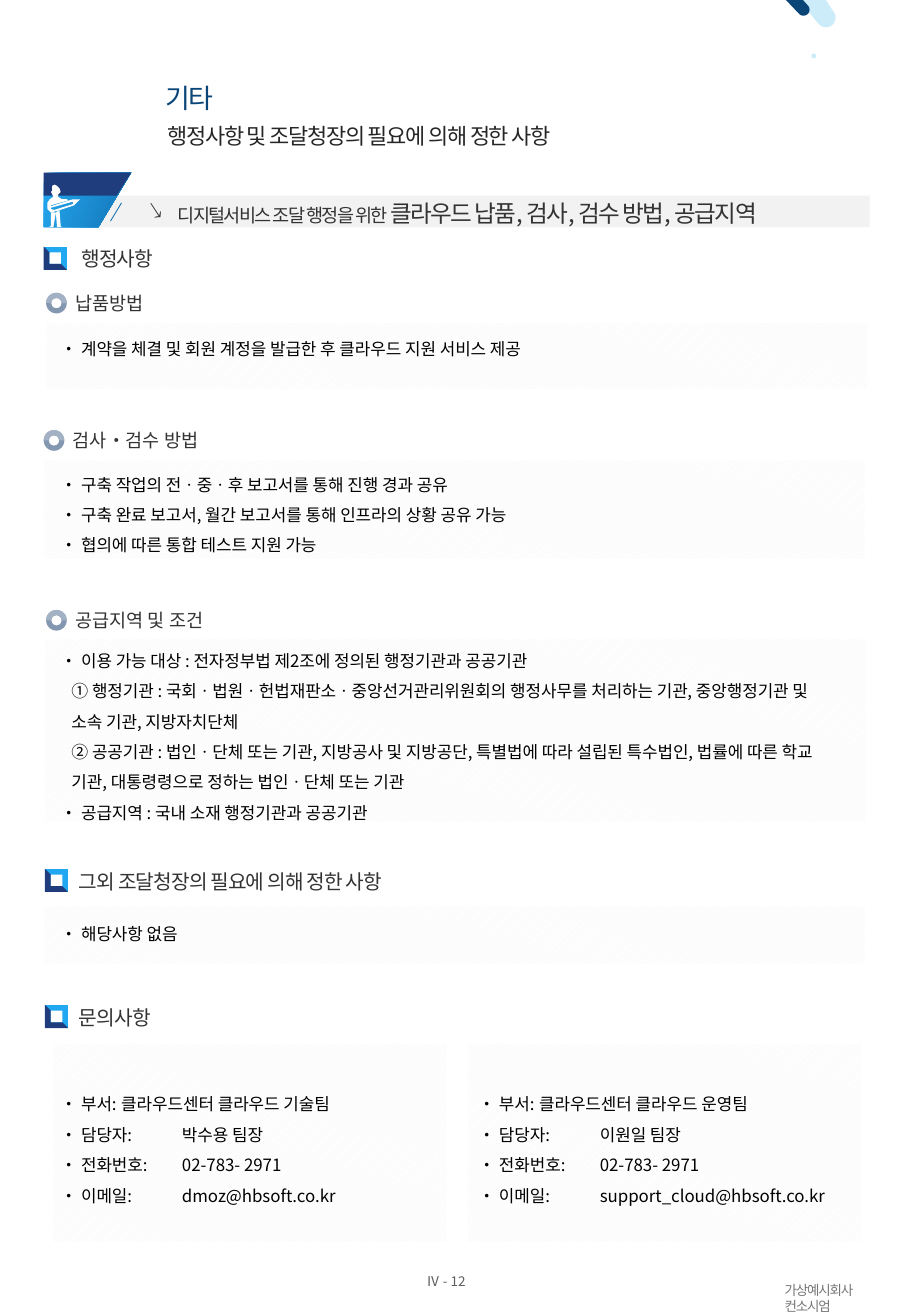
"""Build the administrative matters page of a cloud service proposal."""
import math

import lxml.etree
import pptx
import pptx.dml.color
import pptx.enum.dml
import pptx.enum.shapes
import pptx.enum.text
import pptx.oxml.ns
import pptx.util

Inches = pptx.util.Inches
SHAPE = pptx.enum.shapes.MSO_SHAPE
ANCHOR = pptx.enum.text.MSO_ANCHOR
FONT = "Noto Sans CJK KR"
SKY, NAVY, BLUE, DEEP = "22A8F0", "1F3D7D", "1573B5", "0A4578"
PALE, GREY, WHITE, INK = "CCECF9", "F2F2F2", "FFFFFF", "333333"

TITLE = "기타"
SUBTITLE = "행정사항 및 조달청장의 필요에 의해 정한 사항"
BANNER = [(" ", 14), ("디지털서비스 조달 행정을 위한 ", 11),
          ("클라우드 납품, 검사, 검수 방법, 공급지역", 14)]
CONSORTIUM = ["가상예시회사", "컨소시엄"]
PAGE = "Ⅳ - 12"

SECTIONS = [
    (0.36, 2.03, 0.67, 0.75, "행정사항"),
    (0.37, 7.15, 0.65, 2.94, "그외 조달청장의 필요에 의해 정한 사항"),
    (0.37, 8.27, 0.65, 0.75, "문의사항"),
]
TOPICS = [
    (0.38, 2.41, 0.72, "납품방법"),
    (0.36, 3.54, 1.16, "검사•검수 방법"),
    (0.38, 5.02, 1.29, "공급지역 및 조건"),
]
WIDE, HALF = 6.76, 3.24
PANELS = [
    ((0.38, 2.66, WIDE, 0.54), (0.4, 2.74, 6.54), 1,
     ["• 계약을 체결 및 회원 계정을 발급한 후 클라우드 지원 서비스 제공"]),
    ((0.36, 3.79, WIDE, 0.81), (0.4, 3.77, 6.54), 1.5,
     ["• 구축 작업의 전ㆍ중ㆍ후 보고서를 통해 진행 경과 공유",
      "• 구축 완료 보고서, 월간 보고서를 통해 인프라의 상황 공유 가능",
      "• 협의에 따른 통합 테스트 지원 가능"]),
    ((0.37, 5.26, WIDE, 1.5), (0.4, 5.22, 6.54), 1.5,
     ["• 이용 가능 대상 : 전자정부법 제2조에 정의된 행정기관과 공공기관",
      "① 행정기관 : 국회ㆍ법원ㆍ헌법재판소ㆍ중앙선거관리위원회의 행정사무를 "
      "처리하는 기관, 중앙행정기관 및 소속 기관, 지방자치단체",
      "② 공공기관 : 법인ㆍ단체 또는 기관, 지방공사 및 지방공단, 특별법에 따라 "
      "설립된 특수법인, 법률에 따른 학교 기관, 대통령령으로 정하는 법인ㆍ단체 또는 기관",
      "• 공급지역 : 국내 소재 행정기관과 공공기관"]),
    ((0.36, 7.46, WIDE, 0.47), (0.4, 7.55, 6.54), 1, ["• 해당사항 없음"]),
    ((0.44, 8.59, HALF, 1.63), (0.4, 8.87, 3.2), 1.5,
     ["• 부서:\t클라우드센터 클라우드 기술팀", "• 담당자:\t박수용 팀장",
      "• 전화번호:\t02-783- 2971", "• 이메일:\tdmoz@hbsoft.co.kr"]),
    ((3.85, 8.59, HALF, 1.63), (3.84, 8.87, 3.2), 1.5,
     ["• 부서:\t클라우드센터 클라우드 운영팀", "• 담당자:\t이원일 팀장",
      "• 전화번호:\t02-783- 2971", "• 이메일:\tsupport_cloud@hbsoft.co.kr"]),
]
BADGE = [(0.36, 1.42), (1.08, 1.42), (0.81, 1.87), (0.36, 1.87)]
BADGE_TOP = [(0.36, 1.42), (1.08, 1.42), (0.96, 1.61), (0.36, 1.61)]
WORKER = [
    [(0.41, 1.7), (0.6, 1.64), (0.66, 1.64), (0.61, 1.69), (0.46, 1.74),
     (0.44, 1.73), (0.6, 1.68), (0.6, 1.66), (0.42, 1.71)],
    [(0.45, 1.52), (0.43, 1.53), (0.43, 1.57), (0.42, 1.58), (0.44, 1.62),
     (0.41, 1.64), (0.39, 1.67), (0.39, 1.72), (0.42, 1.75), (0.45, 1.75),
     (0.45, 1.73), (0.42, 1.72), (0.42, 1.69), (0.49, 1.67), (0.56, 1.65),
     (0.55, 1.64), (0.51, 1.64), (0.48, 1.62), (0.48, 1.6), (0.5, 1.58),
     (0.49, 1.55), (0.47, 1.53)],
    [(0.49, 1.73), (0.46, 1.75), (0.42, 1.75), (0.42, 1.86), (0.4, 1.87),
     (0.44, 1.87), (0.46, 1.75), (0.47, 1.87), (0.51, 1.87), (0.5, 1.86)],
]
CAPSULES = [(6.58, 6.8, 6.8, 0.145, 0.08, PALE), (6.47, 6.61, 6.615, 0.08, 0.05, DEEP)]

deck = pptx.Presentation()
deck.slide_width, deck.slide_height = Inches(7.5), Inches(10.83)
slide = deck.slides.add_slide(deck.slide_layouts[5])
shapes = slide.shapes


def rgb(value):
    return pptx.dml.color.RGBColor.from_string(value)


def assign(target, values):
    for name, value in values.items():
        setattr(target, name, value)


def paint(part, *colors, angle=0, stops=(0, 1)):
    part.shadow.inherit = False
    part.line.fill.background()
    if len(colors) == 1:
        part.fill.solid()
        part.fill.fore_color.rgb = rgb(colors[0])
        return
    part.fill.gradient()
    part.fill.gradient_angle = angle
    for stop, color, position in zip(part.fill.gradient_stops, colors, stops):
        stop.color.rgb, stop.position = rgb(color), position


def preset(kind, left, top, width, height):
    return shapes.add_shape(kind, *map(Inches, (left, top, width, height)))


def outline(points, *colors, angle=0):
    corners = [(Inches(x), Inches(y)) for x, y in points]
    builder = shapes.build_freeform(*corners[0])
    builder.add_line_segments(corners[1:])
    paint(builder.convert_to_shape(), *colors, angle=angle)


def write(paragraph, text, size, color, spacing=0):
    run = paragraph.add_run()
    run.text = text
    assign(run.font, {"size": pptx.util.Pt(size), "name": FONT})
    run.font.color.rgb = rgb(color)
    properties = run._r.get_or_add_rPr()
    properties.set("spc", str(round(spacing * 100)))
    lxml.etree.SubElement(properties, pptx.oxml.ns.qn("a:ea")).set("typeface", FONT)


def frame_text(part, lines, size, color, spacing=0, inset=(0, 0), anchor=ANCHOR.TOP, leading=None):
    frame = part.text_frame
    side, edge = map(Inches, inset)
    assign(frame, {"word_wrap": True, "auto_size": pptx.enum.text.MSO_AUTO_SIZE.NONE,
                   "margin_left": side, "margin_right": side, "margin_top": edge,
                   "margin_bottom": edge, "vertical_anchor": anchor})
    for index, line in enumerate(lines):
        paragraph = frame.add_paragraph() if index else frame.paragraphs[0]
        assign(paragraph, {"alignment": pptx.enum.text.PP_ALIGN.LEFT, "line_spacing": leading})
        if line[0] in "①②":
            paragraph._p.get_or_add_pPr().set("marL", str(Inches(0.09)))
        write(paragraph, line, size, color, spacing)


def label(left, top, width, height, lines, size, color, **layout):
    box = shapes.add_textbox(*map(Inches, (left, top, width, height)))
    frame_text(box, lines, size, color, **layout)
    return box


for left, right, x, y, radius, color in CAPSULES:
    tip = [(x + radius * math.cos(math.radians(a)), y + radius * math.sin(math.radians(a)))
           for a in range(-43, 138, 15)]
    outline([(left, 0), (right, 0), *tip], color)
paint(preset(SHAPE.OVAL, 6.68, 0.44, 0.04, 0.04), PALE)

title = shapes.title
assign(title, dict(zip(("left", "top", "width", "height"), map(Inches, (1.28, 0.63, 2.08, 0.35)))))
frame_text(title, [TITLE], 16, DEEP, spacing=-1.1, inset=(0.08, 0.04))
label(1.38, 0.95, 3.71, 0.28, [SUBTITLE], 13, "262626", spacing=-0.7,
      anchor=ANCHOR.MIDDLE, leading=pptx.util.Pt(20))

paint(preset(SHAPE.RECTANGLE, 0.47, 1.61, 6.69, 0.26), GREY)
outline(BADGE, SKY, BLUE, angle=340)
outline(BADGE_TOP, NAVY)
for body_part in WORKER:
    outline(body_part, WHITE)
slash = shapes.add_connector(pptx.enum.shapes.MSO_CONNECTOR.STRAIGHT,
                             *map(Inches, (1, 1.67, 0.91, 1.82)))
slash.line.color.rgb, slash.line.width = rgb(BLUE), pptx.util.Pt(0.5)
lxml.etree.SubElement(slash._element.spPr, pptx.oxml.ns.qn("a:effectLst"))

banner = label(1.13, 1.58, 5.79, 0.34, [], 14, INK, inset=(0.1, 0.05), anchor=ANCHOR.MIDDLE)
headline = banner.text_frame.paragraphs[0]
for phrase, size in BANNER:
    write(headline, phrase, size, INK, -1)
indents = headline._p.get_or_add_pPr()
indents.set("marL", str(Inches(0.19)))
indents.set("indent", str(Inches(-0.19)))
lxml.etree.SubElement(indents, pptx.oxml.ns.qn("a:buChar")).set("char", "↘")

for left, top, text_left, width, heading in SECTIONS:
    marker = preset(SHAPE.FRAME, left, top, 0.19, 0.19)
    marker.adjustments[0] = 0.25
    paint(marker, SKY, NAVY, angle=225, stops=(0.5, 0.5))
    label(text_left, top, width, 0.2, [heading], 12, INK, spacing=-0.5, anchor=ANCHOR.MIDDLE)

for (left, top, width, height), (text_left, text_top, text_width), leading, lines in PANELS:
    panel = preset(SHAPE.RECTANGLE, left, top, width, height)
    paint(panel, WHITE)
    panel.fill.patterned()
    panel.fill.pattern = pptx.enum.dml.MSO_PATTERN.DARK_UPWARD_DIAGONAL
    panel.fill.fore_color.rgb, panel.fill.back_color.rgb = rgb(GREY), rgb(WHITE)
    rows = sum(2 if line[0] in "①②" else 1 for line in lines)
    label(text_left, text_top, text_width, 0.1 + 0.17 * leading * rows, lines, 10, "000000",
          inset=(0.1, 0.05), leading=leading)

for left, top, width, heading in TOPICS:
    for ring, color in ((SHAPE.DONUT, "8497B0"), (SHAPE.BLOCK_ARC, "A3B1C4")):
        paint(preset(ring, left, top, 0.17, 0.17), color)
    label(left + 0.24, top - 0.01, width, 0.19, [heading], 11, INK)

label(3.51, 10.48, 0.6, 0.13, [PAGE], 8, "5F5F5F", anchor=ANCHOR.MIDDLE)
label(6.46, 10.55, 0.91, 0.26, CONSORTIUM, 8, "767676", spacing=-0.7)
deck.save("out.pptx")
